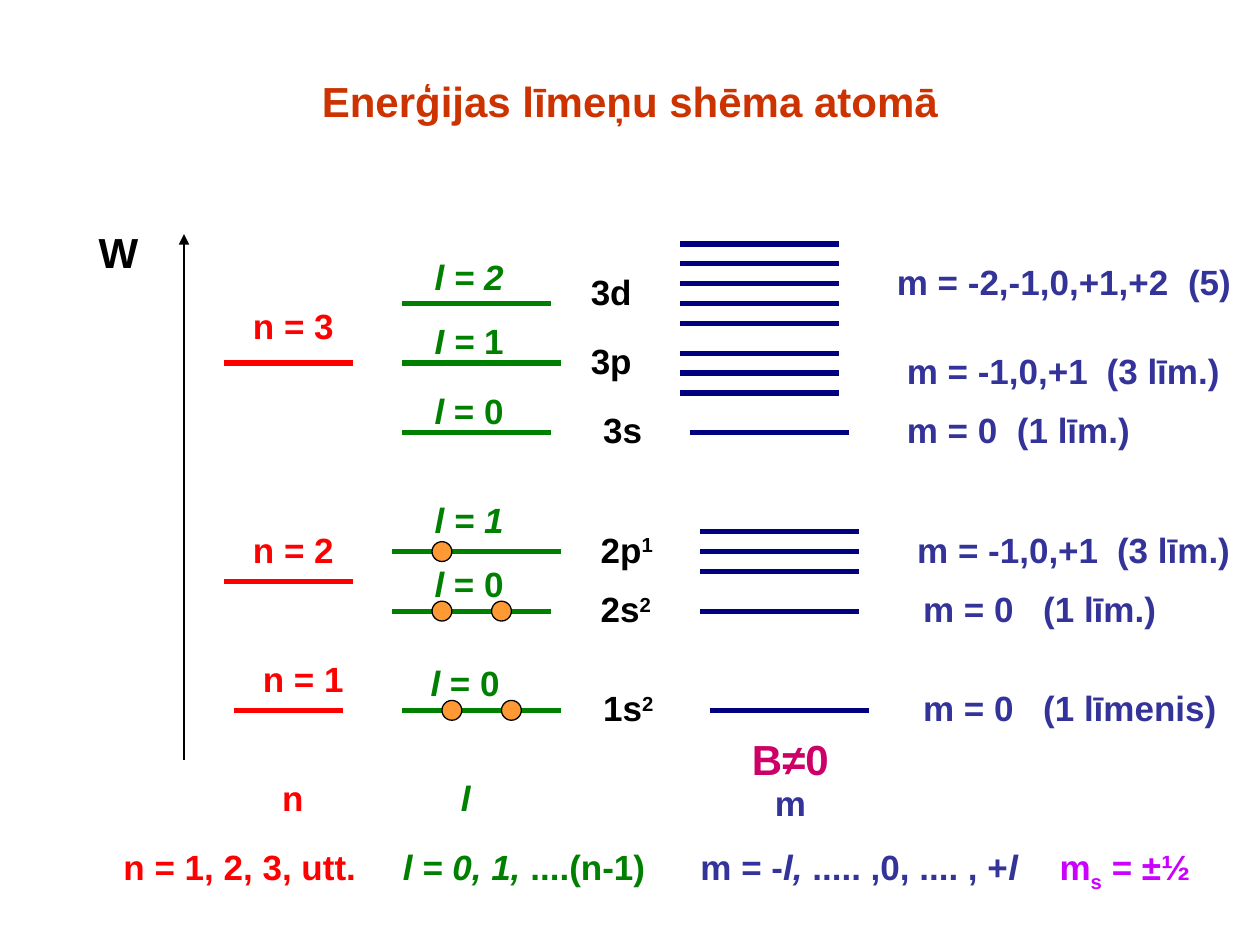
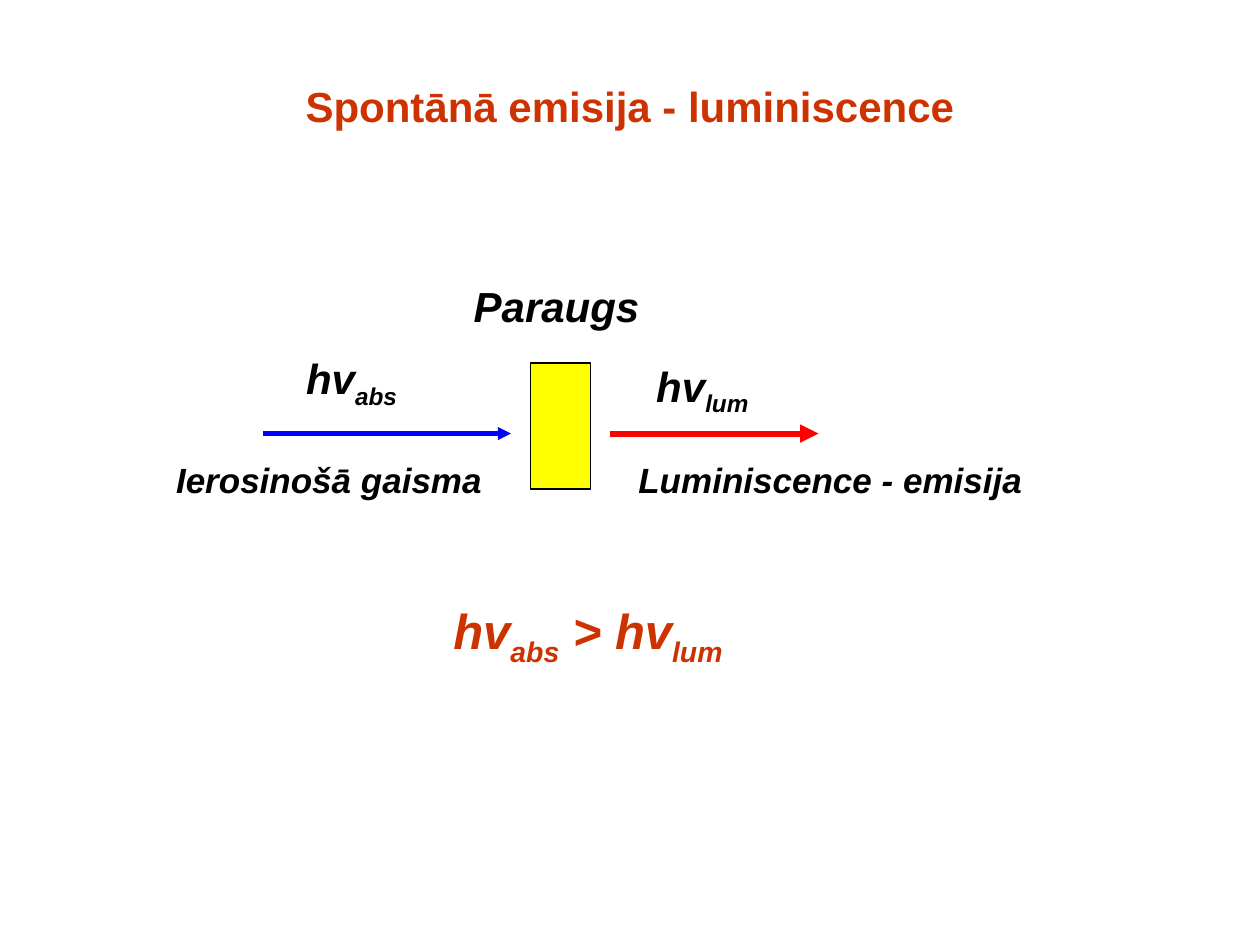
from collections import namedtuple

from lxml import etree
from pptx import Presentation
from pptx.dml.color import RGBColor
from pptx.enum.shapes import MSO_CONNECTOR, MSO_SHAPE
from pptx.enum.text import MSO_ANCHOR, MSO_AUTO_SIZE, PP_ALIGN
from pptx.oxml.ns import qn
from pptx.util import Cm, Pt

STRAIGHT = MSO_CONNECTOR.STRAIGHT
OVAL, RECTANGLE = MSO_SHAPE.OVAL, MSO_SHAPE.RECTANGLE
MIDDLE, CENTER = MSO_ANCHOR.MIDDLE, PP_ALIGN.CENTER
FIT_TEXT, FIXED_SIZE = MSO_AUTO_SIZE.SHAPE_TO_FIT_TEXT, MSO_AUTO_SIZE.NONE

BLACK = RGBColor(0x00, 0x00, 0x00)
RED = RGBColor(0xFF, 0x00, 0x00)
GREEN = RGBColor(0x00, 0x80, 0x00)
NAVY = RGBColor(0x00, 0x00, 0x80)
INDIGO = RGBColor(0x33, 0x33, 0x99)
BLUE = RGBColor(0x00, 0x00, 0xFF)
YELLOW = RGBColor(0xFF, 0xFF, 0x00)
ORANGE = RGBColor(0xFF, 0x99, 0x33)
RUST = RGBColor(0xCC, 0x33, 0x00)
VIOLET = RGBColor(0xCC, 0x00, 0xFF)
CRIMSON = RGBColor(0xCC, 0x00, 0x66)

FONT = "Arial"
ITALIC, SUPER, SUB = "italic", "30000", "-25000"
LINE_HEIGHT = {20: 1.12, 24: 1.27, 28: 1.6}
WIDTH_SLACK = 0.3
LEVEL_WIDTH = 3
SUBLEVEL_GAP = 0.4
ELECTRON_SIZE = 0.4

Shell = namedtuple("Shell", "text y start end label_left label_top")
Orbital = namedtuple(
    "Orbital",
    "name y start end l_text l_left l_top name_left name_top name_width electrons "
    "m_count m_y m_start m_text m_tab m_left m_top m_width")

SHELLS = [
    Shell("n = 1", 9.6, 1.0, 3.2, 1.34, 8.4),
    Shell("n = 2", 7.0, 0.8, 3.4, 1.14, 5.8),
    Shell("n = 3", 2.6, 0.8, 3.4, 1.14, 1.3),
]

L_ZERO = [("l", ITALIC), " = 0"]
ORBITALS = [
    Orbital(["1s", ("2", SUPER)], 9.6, 4.4, 7.6, L_ZERO, 4.72, 8.5, 8.2, 9.0, 1.52,
            [5.4, 6.6], 1, 9.6, 10.6, "m = 0\t(1 līmenis)", 2.42, 14.65, 9.0, 6.43),
    Orbital(["2s", ("2", SUPER)], 7.6, 4.2, 7.4, L_ZERO, 4.8, 6.5, 8.15, 7.0, 1.52,
            [5.2, 6.4], 1, 7.6, 10.4, "m = 0\t(1 līm.)", 2.42, 14.65, 7.0, 5.21),
    Orbital(["2p", ("1", SUPER)], 6.4, 4.2, 7.6, [("l = 1", ITALIC)], 4.8, 5.2, 8.15, 5.8, 1.55,
            [5.2], 3, 6.4, 10.4, "m = -1,0,+1\t(3 līm.)", 4.03, 14.53, 5.8, 6.83),
    Orbital(["3s"], 4.0, 4.4, 7.4, L_ZERO, 4.8, 3.0, 8.2, 3.4, 1.3,
            [], 1, 4.0, 10.2, "m = 0\t(1 līm.)", 2.22, 14.32, 3.4, 5.0),
    Orbital(["3p"], 2.6, 4.4, 7.6, [("I =", ITALIC), " 1"], 4.8, 1.6, 7.95, 2.0, 1.32,
            [], 3, 2.8, 10.0, "m = -1,0,+1\t(3 līm.)", 4.03, 14.32, 2.2, 6.83),
    Orbital(["3d"], 1.4, 4.4, 7.4, [("l = 2", ITALIC)], 4.8, 0.3, 7.95, 0.6, 1.32,
            [], 5, 1.0, 10.0, "m = -2,-1,0,+1,+2\t(5)", 5.87, 14.12, 0.4, 7.24),
]


def add_text(slide, left, top, width, runs, color, size=20, italic=None, tab=None):
    box = slide.shapes.add_textbox(
        Cm(left), Cm(top), Cm(width + WIDTH_SLACK), Cm(LINE_HEIGHT[size]))
    frame = box.text_frame
    frame.word_wrap = True
    frame.auto_size = FIT_TEXT
    paragraph = frame.paragraphs[0]
    if tab:
        stops = etree.SubElement(paragraph._p.get_or_add_pPr(), qn("a:tabLst"))
        etree.SubElement(stops, qn("a:tab"), pos=str(Cm(tab)), algn="l")
    font = paragraph.font
    font.name, font.size, font.bold, font.italic = FONT, Pt(size), True, italic
    font.color.rgb = color
    for part in runs:
        text, style = (part, None) if isinstance(part, str) else part
        run = paragraph.add_run()
        run.text = text
        if style == ITALIC:
            run.font.italic = True
        elif style:
            run._r.get_or_add_rPr().set("baseline", style)
    return box


def add_line(slide, start, end, color, width, arrow=False):
    line = slide.shapes.add_connector(STRAIGHT, *(Cm(v) for v in (*start, *end)))
    line.line.color.rgb = color
    line.line.width = Pt(width)
    if arrow:
        etree.SubElement(line.line._get_or_add_ln(), qn("a:tailEnd"), type="triangle")
    etree.SubElement(line._element.spPr, qn("a:effectLst"))


def add_outlined(slide, kind, left, top, width, height, fill):
    shape = slide.shapes.add_shape(kind, Cm(left), Cm(top), Cm(width), Cm(height))
    shape.shadow.inherit = False
    shape.fill.solid()
    shape.fill.fore_color.rgb = fill
    shape.line.color.rgb = BLACK
    shape.line.width = Pt(0.75)


def add_title(slide, text, height):
    title = add_text(slide, 1.27, 1.13, 22.86, [text], RUST, 24)
    title.width, title.height = Cm(22.86), Cm(height)
    frame = title.text_frame
    frame.auto_size = FIXED_SIZE
    frame.vertical_anchor = MIDDLE
    frame.paragraphs[0].alignment = CENTER


def add_shell(slide, left, top, shell):
    y = top + shell.y
    add_line(slide, (left + shell.start, y), (left + shell.end, y), RED, LEVEL_WIDTH)
    add_text(slide, left + shell.label_left, top + shell.label_top, 2.13, [shell.text], RED)


def add_orbital(slide, left, top, orbital):
    y = top + orbital.y
    add_line(slide, (left + orbital.start, y), (left + orbital.end, y), GREEN, LEVEL_WIDTH)
    add_text(slide, left + orbital.l_left, top + orbital.l_top, 1.9, orbital.l_text, GREEN)
    add_text(slide, left + orbital.name_left, top + orbital.name_top, orbital.name_width,
             orbital.name, BLACK)
    for x in orbital.electrons:
        add_outlined(slide, OVAL, left + x - ELECTRON_SIZE / 2, y - ELECTRON_SIZE / 2,
                     ELECTRON_SIZE, ELECTRON_SIZE, ORANGE)
    m_left = left + orbital.m_start
    for i in range(orbital.m_count):
        m_y = top + orbital.m_y + (i - (orbital.m_count - 1) / 2) * SUBLEVEL_GAP
        add_line(slide, (m_left, m_y), (m_left + 3.2, m_y), NAVY, LEVEL_WIDTH)
    add_text(slide, left + orbital.m_left, top + orbital.m_top, orbital.m_width,
             [orbital.m_text], INDIGO, tab=orbital.m_tab)


def add_level_diagram(slide, left, top):
    add_text(slide, left - 1.97, top - 0.28, 1.31, ["W"], BLACK, 24)
    add_line(slide, (left, top + 10.6), (left, top), BLACK, 0.75, arrow=True)
    for shell in SHELLS:
        add_shell(slide, left, top, shell)
    for orbital in ORBITALS:
        add_orbital(slide, left, top, orbital)
    add_text(slide, left + 1.73, top + 10.8, 0.94, ["n"], RED)
    add_text(slide, left + 5.33, top + 10.8, 0.69, ["l"], GREEN, italic=True)
    add_text(slide, left + 11.66, top + 10.9, 1.14, ["m"], INDIGO)
    add_text(slide, left + 11.2, top + 9.94, 2.06, ["B≠0"], CRIMSON, 24)


def add_quantum_rules(slide, left, top):
    rules = [
        (0, 5.21, ["n = 1, 2, 3, utt."], RED),
        (5.63, 5.38, [("l = 0, 1, ", ITALIC), "....(n-1)"], GREEN),
        (11.63, 6.91, ["m = -", ("l, ", ITALIC), "..... ,0, .... , +", ("l", ITALIC)], INDIGO),
        (18.87, 3.15, ["m", ("s", SUB), " = ±½"], VIOLET),
    ]
    for x, width, runs, color in rules:
        add_text(slide, left + x, top, width, runs, color)


def add_luminescence_diagram(slide, left, top):
    absorbed = ["hv", ("abs", SUB)]
    emitted = ["hv", ("lum", SUB)]
    beam_y = top + 3.2
    add_outlined(slide, RECTANGLE, left + 7.4, top + 1.78, 1.2, 2.54, YELLOW)
    add_line(slide, (left + 2, beam_y), (left + 7, beam_y), BLUE, 2.5, arrow=True)
    add_line(slide, (left + 9, beam_y), (left + 13.2, beam_y), RED, 3.5, arrow=True)
    labels = [
        (6.0, 0, 3.84, ["Paraugs"], BLACK, 24),
        (2.62, 1.45, 2.34, absorbed, BLACK, 24),
        (9.68, 1.6, 2.36, emitted, BLACK, 24),
        (0, 3.58, 6.68, ["Ierosinošā gaisma"], BLACK, 20),
        (9.32, 3.58, 8.23, ["Luminiscence - emisija"], BLACK, 20),
        (5.59, 6.45, 5.92, [*absorbed, " > ", *emitted], RUST, 28),
    ]
    for x, y, width, runs, color, size in labels:
        add_text(slide, left + x, top + y, width, runs, color, size, italic=True)


def main():
    deck = Presentation()
    deck.slide_width, deck.slide_height = Cm(25.4), Cm(19.05)
    blank = deck.slide_layouts[6]

    levels = deck.slides.add_slide(blank)
    add_title(levels, "Enerģijas līmeņu shēma atomā", 1.8)
    add_level_diagram(levels, 3.71, 4.72)
    add_quantum_rules(levels, 2.24, 16.92)

    luminescence = deck.slides.add_slide(blank)
    add_title(luminescence, "Spontānā emisija - luminiscence", 2.0)
    add_luminescence_diagram(luminescence, 3.3, 5.54)

    deck.save("out.pptx")


if __name__ == "__main__":
    main()
